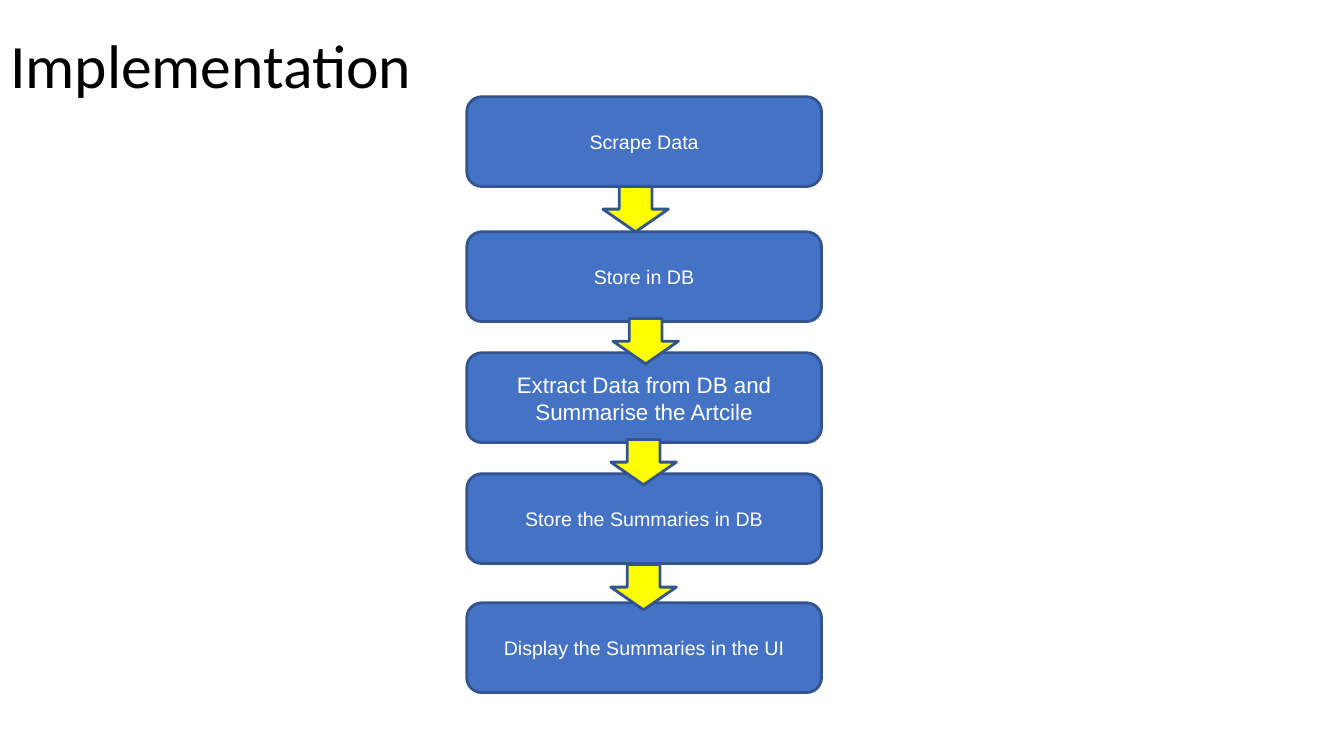
from pptx import Presentation
from pptx.dml.color import RGBColor
from pptx.enum.shapes import MSO_SHAPE
from pptx.enum.text import MSO_ANCHOR, MSO_AUTO_SIZE, PP_ALIGN
from pptx.util import Pt

ROUND_RECT = MSO_SHAPE.ROUNDED_RECTANGLE
DOWN_ARROW = MSO_SHAPE.DOWN_ARROW
MIDDLE = MSO_ANCHOR.MIDDLE
NO_FIT = MSO_AUTO_SIZE.NONE
LEFT, CENTER = PP_ALIGN.LEFT, PP_ALIGN.CENTER

BLACK = RGBColor(0x00, 0x00, 0x00)
WHITE = RGBColor(0xFF, 0xFF, 0xFF)
BLUE = RGBColor(0x44, 0x72, 0xC4)
NAVY = RGBColor(0x32, 0x54, 0x91)
YELLOW = RGBColor(0xFF, 0xFF, 0x00)

BOX_LEFT, BOX_W, BOX_H = 333.4, 253.4, 64.1
ARROW_W, ARROW_H = 46.8, 32.4

# Text, top and font size of each step
STEPS = [
    ("Scrape Data", 69.1, 14),
    ("Store in DB", 165.6, 14),
    ("Extract Data from DB and Summarise the Artcile", 252, 16),
    ("Store the Summaries in DB", 338.4, 14),
    ("Display the Summaries in the UI", 430.6, 14),
]
# Left and top of each arrow
ARROWS = [(430.6, 133.2), (437.8, 227.5), (436.3, 313.9), (436.3, 403.2)]


class FlowSlide:
    """Style and current slide of the flow chart."""

    title_font = {"name": "Calibri", "size": Pt(44), "bold": False}
    step_font = {"name": "Arial"}
    frame = {"word_wrap": True, "auto_size": NO_FIT, "vertical_anchor": MIDDLE}
    line_width = 2

    def __init__(self, prs):
        self.s = prs.slides.add_slide(prs.slide_layouts[5])

    def apply(self, obj, values):
        for name, value in values.items():
            setattr(obj, name, value)

    def add_text(self, sp, text, font, color, paragraph):
        tf = sp.text_frame
        self.apply(tf, self.frame)
        p = tf.paragraphs[0]
        self.apply(p, paragraph)
        r = p.add_run()
        r.text = text
        self.apply(r.font, font)
        r.font.color.rgb = color

    def title(self, text, left, top, width, height):
        sp = self.s.shapes.title
        self.apply(sp, {"left": Pt(left), "top": Pt(top),
                        "width": Pt(width), "height": Pt(height)})
        self.add_text(sp, text, self.title_font, BLACK,
                      {"alignment": LEFT, "line_spacing": 0.9})

    def shape(self, kind, left, top, width, height, fill):
        sp = self.s.shapes.add_shape(kind, Pt(left), Pt(top), Pt(width), Pt(height))
        sp.shadow.inherit = False
        sp.fill.solid()
        sp.fill.fore_color.rgb = fill
        sp.line.color.rgb = NAVY
        sp.line.width = Pt(self.line_width)
        return sp

    def step(self, text, top, size):
        sp = self.shape(ROUND_RECT, BOX_LEFT, top, BOX_W, BOX_H, BLUE)
        self.add_text(sp, text, {**self.step_font, "size": Pt(size)}, WHITE,
                      {"alignment": CENTER})

    def arrow(self, left, top):
        self.shape(DOWN_ARROW, left, top, ARROW_W, ARROW_H, YELLOW)


def main():
    prs = Presentation()
    prs.slide_width, prs.slide_height = Pt(960), Pt(540)
    flow = FlowSlide(prs)

    # Title
    flow.title("Implementation", 0, -2.9, 828, 104.4)

    # Steps
    for text, top, size in STEPS:
        flow.step(text, top, size)

    # Arrows, in front of the steps
    for left, top in ARROWS:
        flow.arrow(left, top)

    prs.save("out.pptx")


if __name__ == "__main__":
    main()
